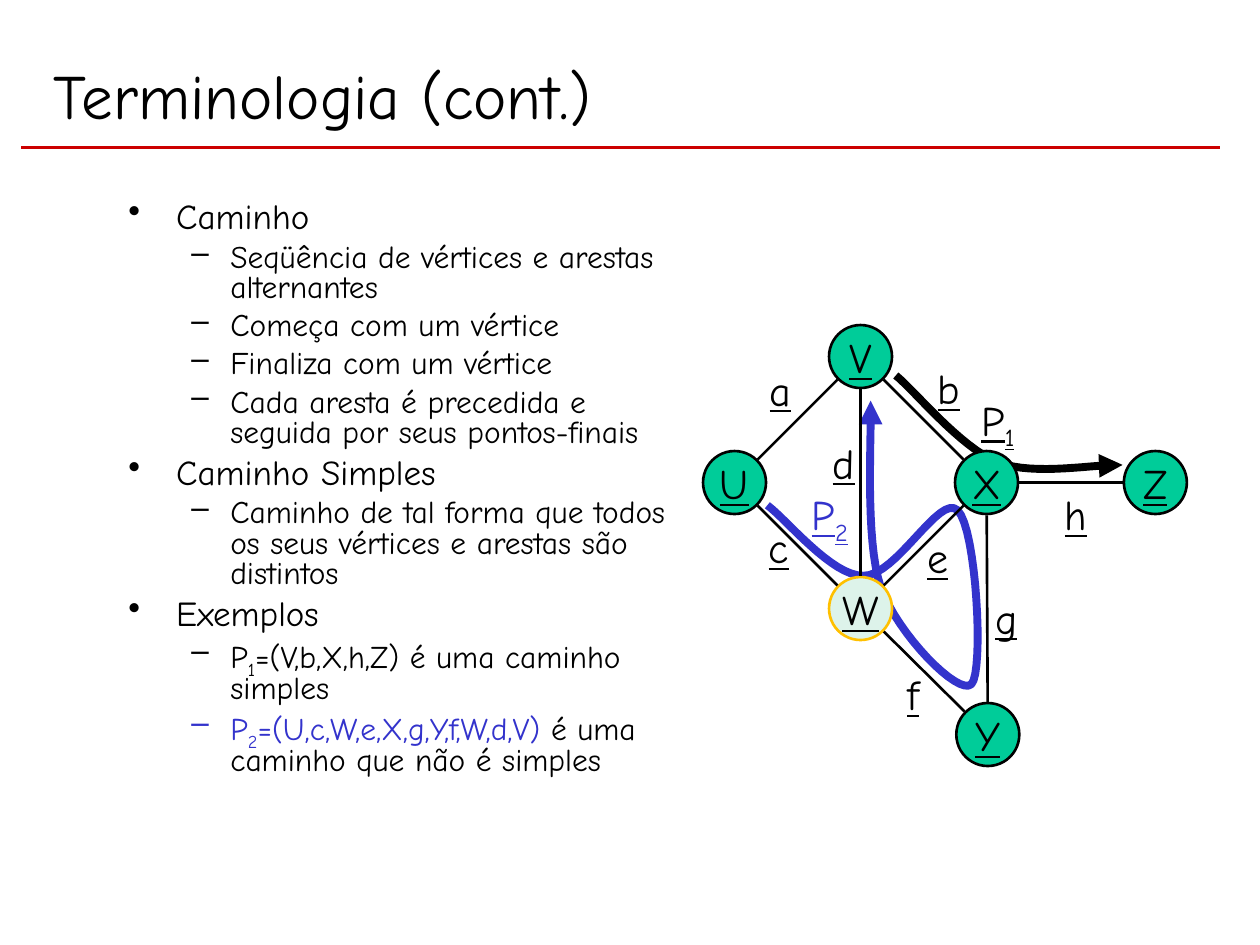
from math import hypot

from lxml.etree import SubElement
from pptx import Presentation
from pptx.dml.color import RGBColor
from pptx.enum.shapes import MSO_CONNECTOR, MSO_SHAPE
from pptx.enum.text import MSO_ANCHOR, MSO_AUTO_SIZE, PP_ALIGN
from pptx.oxml.ns import qn
from pptx.util import Inches, Pt

BLACK = RGBColor(0, 0, 0)
BLUE = RGBColor(0x33, 0x33, 0xCC)
RED = RGBColor(0xCC, 0, 0)
GREEN = RGBColor(0, 0xCC, 0x99)
PALE = RGBColor(0xDD, 0xF3, 0xEA)
GOLD = RGBColor(0xFF, 0xC0, 0)
FONT = "Comic Neue"

TITLE = "Terminologia (cont.)"
BODY = [
    (0, ["Caminho"]),
    (1, ["Seqüência de vértices e arestas alternantes"]),
    (1, ["Começa com um vértice"]),
    (1, ["Finaliza com um vértice"]),
    (1, ["Cada aresta é precedida e seguida por seus pontos-finais"]),
    (0, ["Caminho Simples"]),
    (1, ["Caminho de tal forma que todos os seus vértices e arestas são distintos"]),
    (0, ["Exemplos"]),
    (1, ["P", ("1", BLACK, True), "=(V,b,X,h,Z) é uma caminho simples"]),
    (1, [("P", BLUE, False), ("2", BLUE, True),
         ("=(U,c,W,e,X,g,Y,f,W,d,V)", BLUE, False),
         " é uma caminho que não é simples"]),
]
LEVELS = [
    dict(size=20, before=5, left=0.38, hang=0.38, mark="•"),
    dict(size=18, before=4.5, left=0.81, hang=0.31, mark="–"),
]
NODES = {
    "X": (7.83, 3.83), "U": (5.83, 3.83), "V": (6.83, 2.83),
    "W": (6.83, 4.83), "Z": (9.17, 3.83), "Y": (7.84, 5.83),
}
EDGES = ["VU", "WU", "WX", "XZ", "VX", "VW", "WY", "XY"]
LABELS = [
    ("a", 6.01, 2.84, 0.37), ("c", 6, 4.09, 0.36), ("b", 7.34, 2.83, 0.38),
    ("e", 7.26, 4.17, 0.36), ("d", 6.51, 3.42, 0.37), ("f", 7.1, 5.26, 0.29),
    ("g", 7.8, 4.65, 0.37), ("h", 8.35, 3.83, 0.38),
]
PATH_ONE = [
    (7.11, 2.98), (7.25, 3.09), (7.62, 3.55), (7.92, 3.67),
    (8.22, 3.78), (8.7, 3.68), (8.91, 3.69),
]
PATH_TWO = [
    (6.91, 3.18), (6.92, 3.42), (6.86, 4.28), (6.99, 4.66),
    (7.12, 5.03), (7.61, 5.53), (7.71, 5.43),
    (7.81, 5.33), (7.75, 4.19), (7.6, 4.05),
    (7.46, 3.91), (7.11, 4.58), (6.85, 4.57),
    (6.6, 4.57), (6.25, 4.13), (6.09, 4.01),
]
SIZE = 0.5
REACH = 0.26
STEPS = 16

deck = Presentation()
deck.slide_width, deck.slide_height = Inches(10), Inches(7.5)
slide = deck.slides.add_slide(deck.slide_layouts[6])
shapes = slide.shapes


def write(para, text, size=24, color=BLACK, under=None, sub=False):
    run = para.add_run()
    run.text = text
    font = run.font
    font.name, font.size, font.underline = FONT, Pt(size), under
    font.color.rgb = color
    if sub:
        font._element.set("baseline", "-25000")


def add_box(left, top, width, height):
    box = shapes.add_textbox(*map(Inches, (left, top, width, height)))
    box.text_frame.word_wrap = True
    return box.text_frame


def add_label(text, left, top, width, color=BLACK, sub=""):
    frame = add_box(left, top, width, 0.56 if sub else 0.5)
    frame.word_wrap = False
    frame.auto_size = MSO_AUTO_SIZE.SHAPE_TO_FIT_TEXT
    para = frame.paragraphs[0]
    para.alignment = PP_ALIGN.CENTER
    write(para, text, color=color, under=True)
    if sub:
        write(para, sub, color=color, under=True, sub=True)


def add_line(start, end, color=BLACK):
    line = shapes.add_connector(
        MSO_CONNECTOR.STRAIGHT, *map(Inches, (*start, *end)))
    line.line.color.rgb, line.line.width = color, Pt(1.5)
    SubElement(line._element.spPr, qn("a:effectLst"))


def add_curve(knots, color, tip):
    points = []
    for i in range(0, len(knots) - 1, 3):
        for step in range(1, STEPS + 1):
            t = step / STEPS
            parts = ((1 - t) ** 3, 3 * t * (1 - t) ** 2,
                     3 * t ** 2 * (1 - t), t ** 3)
            points.append(tuple(
                Inches(sum(w * knot[axis] for w, knot in zip(parts, knots[i:i + 4])))
                for axis in (0, 1)))
    pen = shapes.build_freeform(*map(Inches, knots[0]))
    pen.add_line_segments(points, close=False)
    curve = pen.convert_to_shape()
    curve.shadow.inherit = False
    curve.fill.background()
    curve.line.color.rgb, curve.line.width = color, Pt(4.5)
    SubElement(curve.line._get_or_add_ln(), qn(tip), type="triangle")


def add_bullet(para, mark, left, hang, color):
    props = para._p.get_or_add_pPr()
    props.set("marL", str(Inches(left)))
    props.set("indent", str(-Inches(hang)))
    tint = SubElement(props, qn("a:buClr"))
    SubElement(tint, qn("a:srgbClr"), val=str(color))
    SubElement(props, qn("a:buChar"), char=mark)


def add_node(name, x, y):
    node = shapes.add_shape(MSO_SHAPE.OVAL, *map(
        Inches, (x - SIZE / 2, y - SIZE / 2, SIZE, SIZE)))
    node.shadow.inherit = False
    node.fill.solid()
    node.fill.fore_color.rgb = PALE if name == "W" else GREEN
    node.line.color.rgb = GOLD if name == "W" else BLACK
    node.line.width = Pt(1.5)
    frame = node.text_frame
    frame.word_wrap, frame.vertical_anchor = False, MSO_ANCHOR.MIDDLE
    para = frame.paragraphs[0]
    para.alignment = PP_ALIGN.CENTER
    write(para, name, under=True)


add_line((0.17, 1.17), (9.68, 1.17), RED)
add_curve(PATH_TWO, BLUE, "a:headEnd")
add_label("P", 7.69, 3.08, 0.46, sub="1")
add_curve(PATH_ONE, BLACK, "a:tailEnd")

head = add_box(0.33, 0.25, 9, 1)
head.vertical_anchor = MSO_ANCHOR.MIDDLE
write(head.paragraphs[0], TITLE, size=36)

body = add_box(0.92, 1.56, 4.5, 4.67)
for i, (level, runs) in enumerate(BODY):
    para = body.add_paragraph() if i else body.paragraphs[0]
    look = LEVELS[level]
    para.level, para.line_spacing = level, 0.8
    para.space_before = Pt(look["before"])
    runs = [(run, BLACK, False) if isinstance(run, str) else run for run in runs]
    add_bullet(para, look["mark"], look["left"], look["hang"], runs[0][1])
    for text, color, sub in runs:
        write(para, text, size=look["size"], color=color, sub=sub)

for name, (x, y) in NODES.items():
    add_node(name, x, y)

for one, two in EDGES:
    (x1, y1), (x2, y2) = NODES[one], NODES[two]
    span = hypot(x2 - x1, y2 - y1)
    dx, dy = (x2 - x1) * REACH / span, (y2 - y1) * REACH / span
    add_line((x1 + dx, y1 + dy), (x2 - dx, y2 - dy))

for label in LABELS:
    add_label(*label)
add_label("P", 6.34, 3.83, 0.49, color=BLUE, sub="2")

deck.save("out.pptx")
